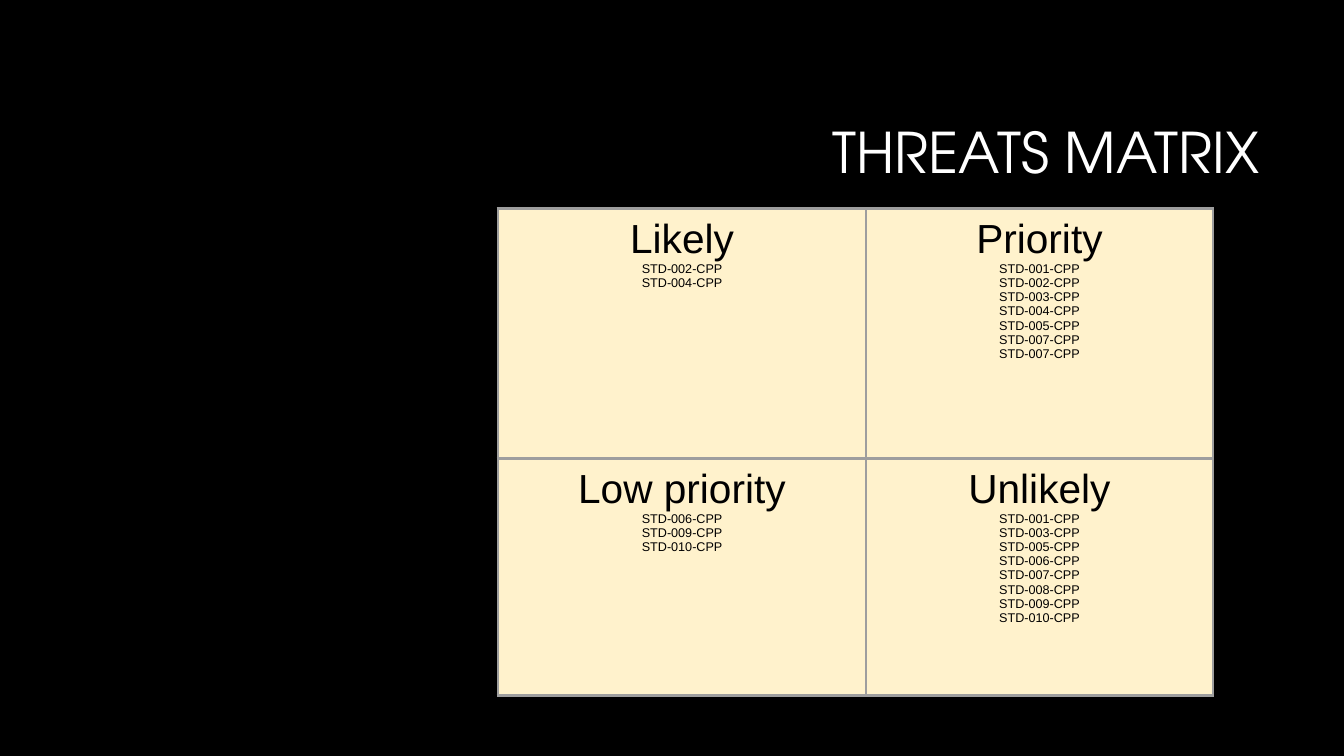
"""Build the threats matrix slide."""
from lxml import etree
from pptx import Presentation
from pptx.dml.color import RGBColor
from pptx.enum import text
from pptx.oxml import ns
from pptx.util import Inches, Pt

QUADRANTS = [
    [("Likely", (2, 4)), ("Priority", (1, 2, 3, 4, 5, 7, 7))],
    [("Low priority", (6, 9, 10)), ("Unlikely", (1, 3, 5, 6, 7, 8, 9, 10))],
]


def color(value):
    """Return the colour for a hex string."""
    return RGBColor.from_string(value)


def set_all(obj, values):
    """Set each named attribute of an object."""
    for name, value in values.items():
        setattr(obj, name, value)


def add_text(p, words, size, font, fill, align):
    """Add one formatted run to a paragraph."""
    r = p.add_run()
    r.text = words
    set_all(r.font, {"size": Pt(size), "name": font, "bold": False})
    r.font.color.rgb = color(fill)
    p.alignment = align


def add_borders(cell, fill, width):
    """Draw a solid line on all four sides of a cell."""
    tc_pr = cell._tc.get_or_add_tcPr()
    for i, side in enumerate("LRTB"):
        ln = etree.Element(ns.qn(f"a:ln{side}"), w=str(Pt(width)))
        solid = etree.SubElement(ln, ns.qn("a:solidFill"))
        etree.SubElement(solid, ns.qn("a:srgbClr"), val=fill)
        tc_pr.insert(i, ln)


def add_title(slide, left, top, width, height):
    """Place the title, right-aligned, in its box."""
    sp = slide.shapes.title
    set_all(sp, {"left": Inches(left), "top": Inches(top),
                 "width": Inches(width), "height": Inches(height)})
    tf = sp.text_frame
    set_all(tf, {"vertical_anchor": text.MSO_ANCHOR.MIDDLE, "word_wrap": True})
    p = tf.paragraphs[0]
    p.line_spacing = 0.9
    add_text(p, "THREATS MATRIX", 40, "TeX Gyre Adventor", "FFFFFF",
             text.PP_ALIGN.RIGHT)


def fill_quadrant(cell, heading, standards):
    """Fill a cell with its heading and list of standards."""
    sides = ("left", "right", "top", "bottom")
    set_all(cell, {f"margin_{side}": Inches(0.08) for side in sides})
    cell.fill.solid()
    cell.fill.fore_color.rgb = color("FFF2CC")
    add_borders(cell, "9E9E9E", 2.25)
    tf = cell.text_frame
    lines = [(heading, 29)] + [(f"STD-{n:03}-CPP", 9) for n in standards]
    for i, (words, size) in enumerate(lines):
        p = tf.add_paragraph() if i else tf.paragraphs[0]
        add_text(p, words, size, "Arial", "000000", text.PP_ALIGN.CENTER)


def add_matrix(slide, left, top, widths, heights):
    """Place the two-by-two table of threats."""
    box = [Inches(n) for n in (left, top, sum(widths), sum(heights))]
    table = slide.shapes.add_table(len(heights), len(widths), *box).table
    set_all(table, {"first_row": False, "horz_banding": False})
    for column, width in zip(table.columns, widths):
        column.width = Inches(width)
    for row, height, quadrants in zip(table.rows, heights, QUADRANTS):
        row.height = Inches(height)
        for cell, (heading, standards) in zip(row.cells, quadrants):
            fill_quadrant(cell, heading, standards)


def main():
    """Build and save the presentation."""
    prs = Presentation()
    set_all(prs, {"slide_width": Inches(13.33), "slide_height": Inches(7.5)})
    slide = prs.slides.add_slide(prs.slide_layouts[5])
    slide.background.fill.solid()
    slide.background.fill.fore_color.rgb = color("000000")
    add_title(slide, 3.17, 0.84, 9.42, 1.41)
    add_matrix(slide, 4.94, 2.07, (3.65, 3.44), (2.48, 2.35))
    prs.save("out.pptx")


if __name__ == "__main__":
    main()
